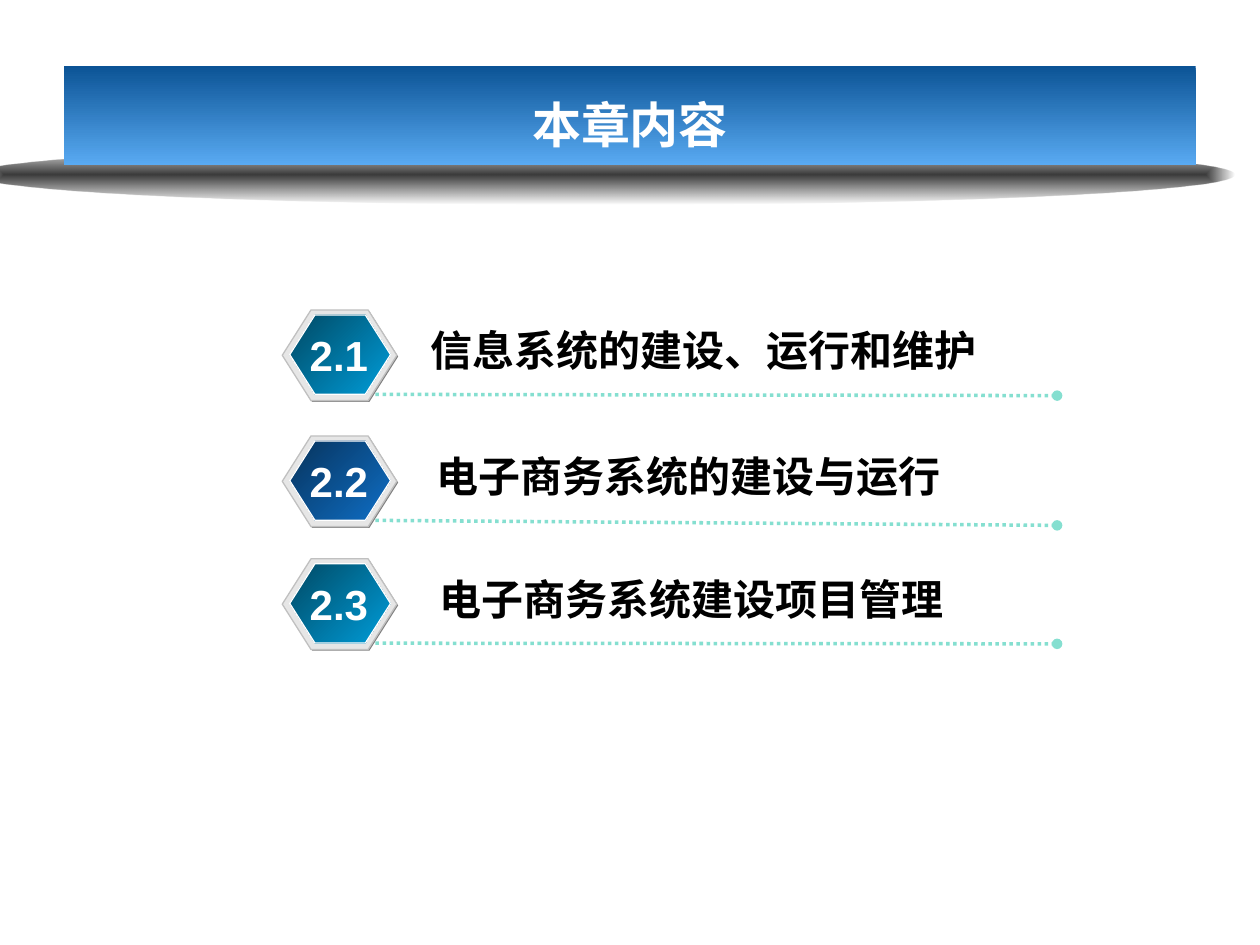
from lxml.etree import SubElement
from pptx import Presentation
from pptx.dml.color import RGBColor
from pptx.enum.dml import MSO_LINE
from pptx.enum.shapes import MSO_CONNECTOR, MSO_SHAPE
from pptx.enum.text import MSO_ANCHOR, MSO_AUTO_SIZE, PP_ALIGN
from pptx.oxml import parse_xml
from pptx.oxml.ns import qn
from pptx.util import Inches, Pt

SHADOW_FILL = """
<a:gradFill xmlns:a="http://schemas.openxmlformats.org/drawingml/2006/main" rotWithShape="1">
  <a:gsLst>
    <a:gs pos="0"><a:srgbClr val="000000"><a:alpha val="77000"/></a:srgbClr></a:gs>
    <a:gs pos="100000"><a:srgbClr val="000000"><a:alpha val="0"/></a:srgbClr></a:gs>
  </a:gsLst>
  <a:path path="rect"><a:fillToRect l="50000" t="50000" r="50000" b="50000"/></a:path>
</a:gradFill>"""


def color(value):
    return RGBColor.from_string(value)


def paint(shape, fills, line=None, angle=270):
    """Fill with one colour or a two-colour gradient, and outline if asked."""
    shape.shadow.inherit = False
    if len(fills) == 1:
        shape.fill.solid()
        shape.fill.fore_color.rgb = color(fills[0])
    else:
        shape.fill.gradient()
        shape.fill.gradient_angle = angle
        for stop, value in zip(shape.fill.gradient_stops, fills):
            stop.color.rgb = color(value)
    if line:
        shape.line.color.rgb = color(line)
        shape.line.width = Pt(0.75)
    else:
        shape.line.fill.background()


deck = Presentation()
deck.slide_width, deck.slide_height = Inches(10), Inches(7.5)
page = deck.slides.add_slide(deck.slide_layouts[5])

# Title bar
title = page.shapes.title
title.left, title.top = Inches(0.51), Inches(0.52)
title.width, title.height = Inches(8.98), Inches(0.79)
paint(title, ["0B5395", "59AAF2"])
frame = title.text_frame
frame.auto_size = MSO_AUTO_SIZE.NONE
frame.vertical_anchor = MSO_ANCHOR.MIDDLE
frame.margin_left = frame.margin_right = Inches(0.31)
frame.margin_top = frame.margin_bottom = Inches(0.2)
para = frame.paragraphs[0]
para.alignment = PP_ALIGN.CENTER
para.line_spacing = 1.3
span = para.add_run()
span.text = "本章内容"
span.font.name = "TeX Gyre Pagella"
span.font.size = Pt(28)
span.font.bold = True
span.font.color.rgb = color("FFFFFF")

# Soft shadow behind the bar
shadow = page.shapes.add_shape(MSO_SHAPE.OVAL, Inches(-0.2), Inches(1.15), Inches(10), Inches(0.47))
paint(shadow, ["000000"])
properties = shadow._element.spPr
properties.replace(properties.find(qn("a:solidFill")), parse_xml(SHADOW_FILL))
title._element.addprevious(shadow._element)

# Chapter sections: number, heading, top, heading left and width, line drop, badge colours
TEAL, BLUE = ["004964", "009DD9"], ["07335C", "0F6FC6"]
sections = [
    ("2.1", "信息系统的建设、运行和维护", 2.46, 3.32, 4.53, 0.01, TEAL),
    ("2.2", "电子商务系统的建设与运行", 3.46, 3.37, 4.2, 0.04, BLUE),
    ("2.3", "电子商务系统建设项目管理", 4.435, 3.39, 4.2, 0.005, TEAL),
]
for number, heading, top, left, width, drop, badge in sections:
    layers = [
        (2.25, 0.01, 0.91, 0.72, ["808080"], None),
        (2.24, 0, 0.91, 0.72, ["E6E6E6"], "C0C0C0"),
        (2.3, 0.04, 0.8, 0.63, badge, "FFFFFF"),
    ]
    for x, offset, w, h, fills, outline in layers:
        hexagon = page.shapes.add_shape(
            MSO_SHAPE.HEXAGON, Inches(x), Inches(top + offset), Inches(w), Inches(h))
        hexagon.adjustments[0] = 0.317
        paint(hexagon, fills, outline, angle=315)

    rule = page.shapes.add_connector(
        MSO_CONNECTOR.STRAIGHT,
        Inches(2.98), Inches(top + 0.67), Inches(8.39), Inches(top + 0.67 + drop))
    rule.line.color.rgb = color("85DFD0")
    rule.line.width = Pt(2)
    rule.line.dash_style = MSO_LINE.ROUND_DOT
    SubElement(rule.line._ln, qn("a:tailEnd"), type="oval")
    SubElement(rule._element.spPr, qn("a:effectLst"))

    labels = [
        (heading, left, 0.065, width, "000000", PP_ALIGN.LEFT),
        (number, 2.36, 0.11, 0.66, "FFFFFF", PP_ALIGN.CENTER),
    ]
    for text, x, offset, w, ink, alignment in labels:
        box = page.shapes.add_textbox(Inches(x), Inches(top + offset), Inches(w), Inches(0.5))
        box.text_frame.word_wrap = False
        box.text_frame.auto_size = MSO_AUTO_SIZE.SHAPE_TO_FIT_TEXT
        para = box.text_frame.paragraphs[0]
        para.alignment = alignment
        span = para.add_run()
        span.text = text
        span.font.name = "Arial"
        span.font.size = Pt(24)
        span.font.bold = True
        span.font.color.rgb = color(ink)

deck.save("out.pptx")
